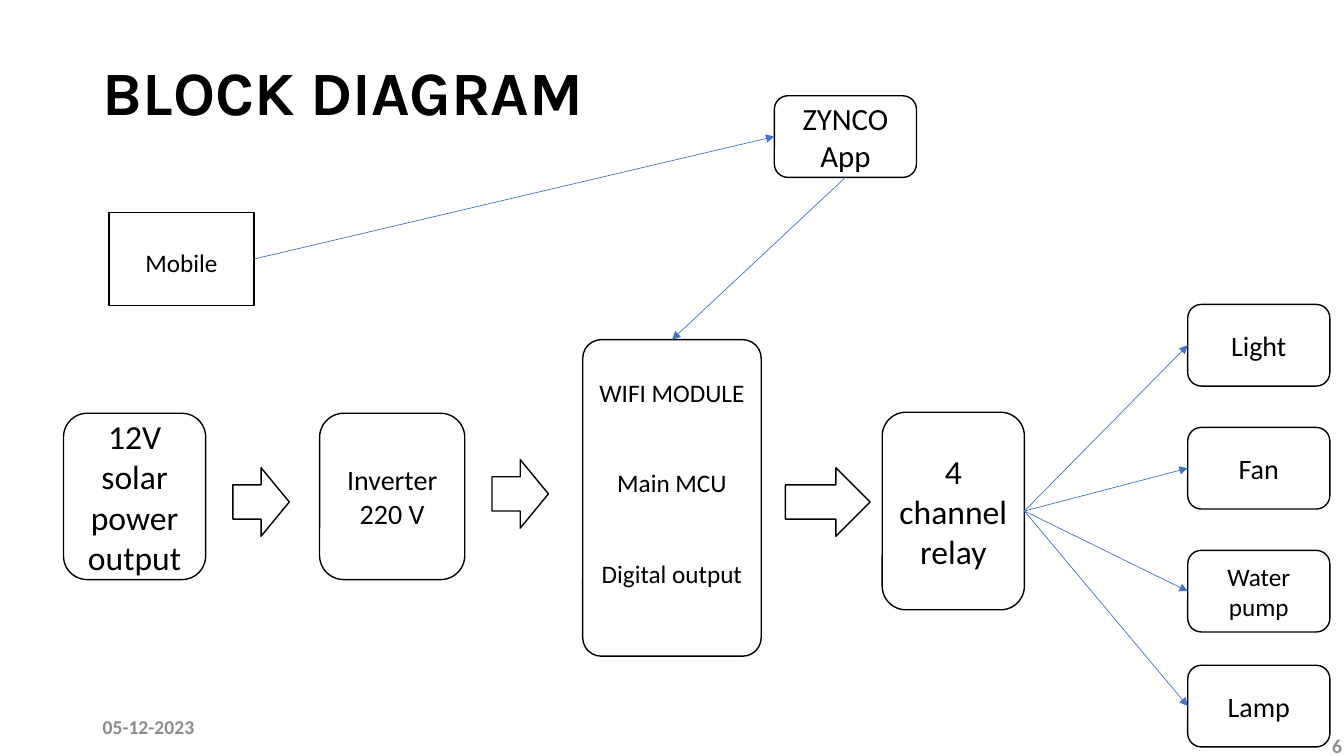
import pptx
import pptx.util
import pptx.dml.color
import pptx.enum.shapes
import pptx.enum.text
from lxml import etree

Inches, Pt = pptx.util.Inches, pptx.util.Pt
Shape = pptx.enum.shapes.MSO_SHAPE
Align = pptx.enum.text.PP_ALIGN
Anchor = pptx.enum.text.MSO_ANCHOR

# Content
TITLE = "BLOCK DIAGRAM"
DATE, PAGE_NUMBER = "05-12-2023", "6"
BLACK, WHITE, GRAY, BLUE = "000000", "FFFFFF", "8C8C8C", "4472C4"
BODY_FONT, TITLE_FONT = "Calibri", "Karla"

# name: (text, size, left, top, width, height)
BLOCKS = {
    "solar": ("12V solar power output", 24, 0.63, 4.1, 1.41, 1.65),
    "inverter": ("Inverter\n220 V", 20, 3.17, 4.1, 1.44, 1.65),
    "wifi": ("WIFI MODULE\nMain MCU\nDigital output", 18, 5.78, 3.37, 1.77, 3.14),
    "relay": ("4 channel relay", 24, 8.75, 4.09, 1.41, 1.96),
    "app": ("ZYNCO App", 22, 7.68, 0.95, 1.41, 0.81),
    "mobile": ("Mobile", 18, 1.08, 2.11, 1.44, 0.92),
}
LOADS = [("Light", 20, 3.02), ("Fan", 20, 4.24), ("Water pump", 18, 5.46), ("Lamp", 20, 6.6)]
LOAD_LEFT, LOAD_WIDTH, LOAD_HEIGHT = 11.78, 1.41, 0.81

# left, top, width
BLOCK_ARROWS = [(2.31, 4.64, 0.56), (4.88, 4.56, 0.56), (7.79, 4.64, 0.84)]
ARROW_HEIGHT = 0.68

# Connection sites of a rectangle
TOP, LEFT, BOTTOM, RIGHT = range(4)
LINKS = [("app", BOTTOM, "wifi", TOP), ("mobile", RIGHT, "app", LEFT)]
LINKS += [("relay", RIGHT, name, LEFT) for name, size, top in LOADS]


def color(value):
    return pptx.dml.color.RGBColor.from_string(value)


def write(shape, text, size, align, ink=BLACK, bold=False, font=BODY_FONT):
    frame = shape.text_frame
    frame.text = text
    frame.word_wrap = True
    frame.vertical_anchor = Anchor.MIDDLE
    for para in frame.paragraphs:
        para.alignment = align
        for span in para.runs:
            span.font.size = Pt(size)
            span.font.name = font
            span.font.bold = bold
            span.font.color.rgb = color(ink)
    return frame


def add_outline(page, kind, left, top, width, height):
    shape = page.shapes.add_shape(kind, Inches(left), Inches(top), Inches(width), Inches(height))
    shape.shadow.inherit = False
    shape.fill.solid()
    shape.fill.fore_color.rgb = color(WHITE)
    shape.line.color.rgb = color(BLACK)
    shape.line.width = Pt(1)
    return shape


def add_block(page, name, text, size, *place):
    kind = Shape.RECTANGLE if name == "mobile" else Shape.ROUNDED_RECTANGLE
    block = add_outline(page, kind, *place)
    write(block, text, size, Align.CENTER)
    return block


def add_link(page, source, source_site, target, target_site):
    link = page.shapes.add_connector(pptx.enum.shapes.MSO_CONNECTOR.STRAIGHT, 0, 0, 0, 0)
    link.begin_connect(source, source_site)
    link.end_connect(target, target_site)
    link.line.color.rgb = color(BLUE)
    link.line.width = Pt(0.5)
    head = etree.SubElement(link.line._get_or_add_ln(), pptx.oxml.ns.qn("a:tailEnd"))
    head.set("type", "triangle")
    etree.SubElement(link._element.spPr, pptx.oxml.ns.qn("a:effectLst"))


def add_footer(page, text, align, left, top, width):
    box = page.shapes.add_textbox(Inches(left), Inches(top), Inches(width), Inches(0.4))
    return write(box, text, 14, align, GRAY, bold=True)


def main():
    deck = pptx.Presentation()
    deck.slide_width, deck.slide_height = Inches(13.33), Inches(7.5)
    page = deck.slides.add_slide(deck.slide_layouts[5])

    # Title
    title = page.shapes.title
    title.left, title.top = Inches(0.92), Inches(0.22)
    title.width, title.height = Inches(11.5), Inches(1.45)
    frame = write(title, TITLE, 44, Align.LEFT, bold=True, font=TITLE_FONT)
    frame.auto_size = pptx.enum.text.MSO_AUTO_SIZE.NONE
    frame.paragraphs[0].line_spacing = 0.9

    # Date and page number
    add_footer(page, DATE, Align.LEFT, 0.92, 7.01, 3)
    add_footer(page, PAGE_NUMBER, Align.RIGHT, 10.45, 7.2, 2.88).margin_right = Inches(0.02)

    # Blocks and the loads of the relay
    blocks = {name: add_block(page, name, *block) for name, block in BLOCKS.items()}
    for name, size, top in LOADS:
        blocks[name] = add_block(page, name, name, size, LOAD_LEFT, top, LOAD_WIDTH, LOAD_HEIGHT)

    # Spread the three lines of the WIFI module
    blocks["wifi"].adjustments[0] = 0.104
    module = blocks["wifi"].text_frame
    module.margin_left = module.margin_right = Inches(0.05)
    module.margin_bottom = Inches(0.35)
    for para in module.paragraphs[1:]:
        para.space_before = Pt(43)
    blocks["mobile"].text_frame.margin_top = Inches(0.12)

    # Block arrows of the power chain
    for left, top, width in BLOCK_ARROWS:
        add_outline(page, Shape.RIGHT_ARROW, left, top, width, ARROW_HEIGHT)

    # Thin arrows
    for source, source_site, target, target_site in LINKS:
        add_link(page, blocks[source], source_site, blocks[target], target_site)

    deck.save("out.pptx")


if __name__ == "__main__":
    main()
